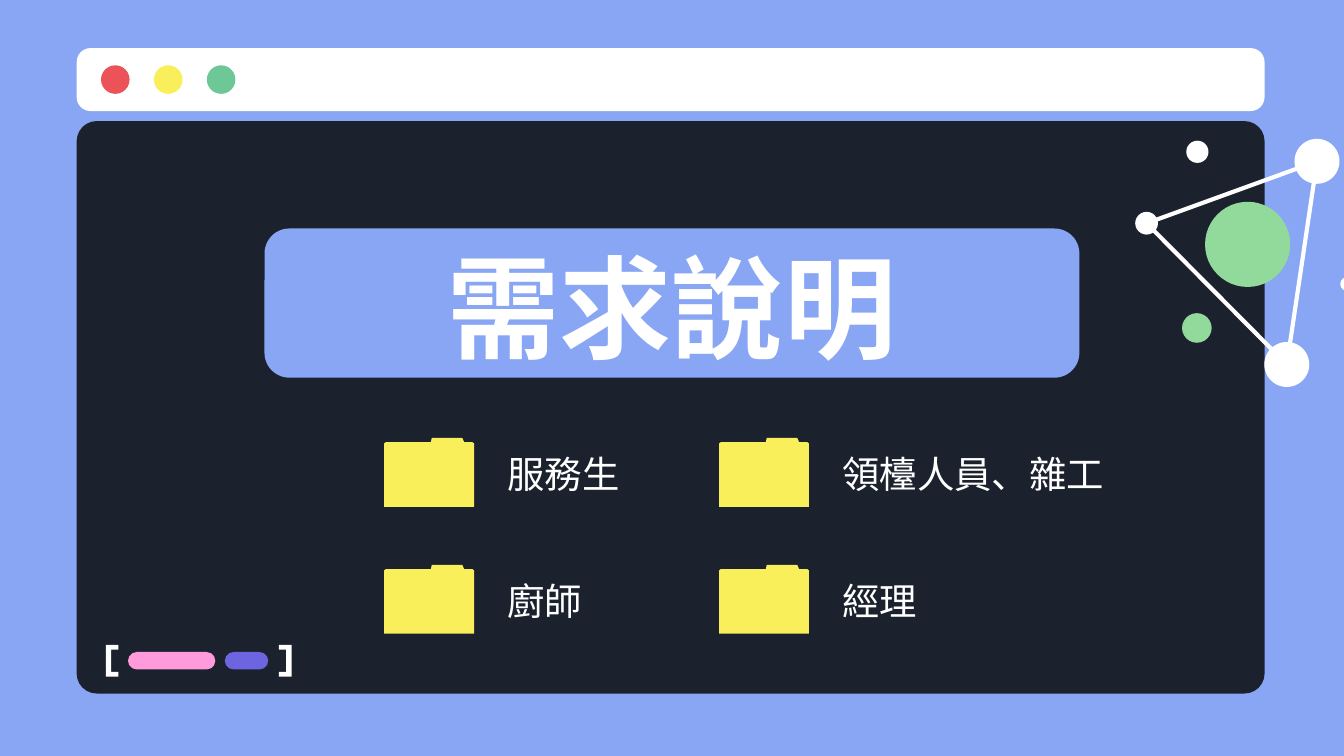
from lxml.etree import SubElement
from pptx import Presentation
from pptx.dml.color import RGBColor
from pptx.enum.shapes import MSO_CONNECTOR, MSO_SHAPE
from pptx.enum.text import MSO_ANCHOR, PP_ALIGN
from pptx.oxml.ns import qn
from pptx.util import Cm, Pt

COLORS = {
    "sky": "88A6F3",
    "night": "1B222D",
    "white": "FFFFFF",
    "red": "EB5358",
    "yellow": "F8EF5B",
    "green": "6DC797",
    "mint": "92D99C",
    "pink": "FF9BDA",
    "violet": "6D65E0",
}
FONT = "Noto Sans CJK SC"
FOLDER_OUTLINE = [
    (0, 0.08), (0.02, 0.06), (0.52, 0.06), (0.53, 0), (0.87, 0),
    (0.89, 0.06), (0.98, 0.06), (1, 0.08), (1, 1), (0, 1),
]
BRACKET_OUTLINE = [
    (1, 0.15), (0.42, 0.15), (0.42, 0.85), (1, 0.85),
    (1, 1), (0, 1), (0, 0), (1, 0),
]


def color(name):
    """Return the named colour."""
    return RGBColor.from_string(COLORS[name])


def paint(shape, fill):
    """Give a shape a flat fill without line or shadow."""
    shape.fill.solid()
    shape.fill.fore_color.rgb = color(fill)
    shape.line.fill.background()
    shape.shadow.inherit = False


def add_preset(slide, kind, left, top, width, height, fill, rounding=None):
    """Add a flat preset shape, with an optional corner radius."""
    shape = slide.shapes.add_shape(kind, Cm(left), Cm(top), Cm(width), Cm(height))
    if rounding is not None:
        shape.adjustments[0] = rounding
    paint(shape, fill)


def add_dot(slide, x, y, diameter, fill):
    """Add a circle around a centre point."""
    corner = diameter / 2
    add_preset(slide, MSO_SHAPE.OVAL, x - corner, y - corner, diameter, diameter, fill)


def add_outline(slide, outline, left, top, width, height, fill):
    """Add a closed polygon given as fractions of its box."""
    points = [(Cm(left + x * width), Cm(top + y * height)) for x, y in outline]
    builder = slide.shapes.build_freeform(*points[0], scale=1.0)
    builder.add_line_segments(points[1:], close=True)
    paint(builder.convert_to_shape(), fill)


def add_text(slide, text, left, top, width, height, size, bold=False, wrap=False):
    """Add a white text box and return it."""
    box = slide.shapes.add_textbox(Cm(left), Cm(top), Cm(width), Cm(height))
    box.text_frame.text = text
    box.text_frame.word_wrap = wrap
    font = box.text_frame.paragraphs[0].runs[0].font
    font.size, font.bold, font.name = Pt(size), bold, FONT
    font.color.rgb = color("white")
    properties = box.text_frame.paragraphs[0].runs[0]._r.get_or_add_rPr()
    SubElement(properties, qn("a:ea")).set("typeface", FONT)
    return box


def add_window(slide, left, top, width, height):
    """Draw the browser window with its title bar and three buttons."""
    bar_height, gap = 1.19, 0.19
    panel_top = top + bar_height + gap
    add_preset(slide, MSO_SHAPE.ROUNDED_RECTANGLE, left, panel_top, width,
               height - bar_height - gap, "night", 0.035)
    add_preset(slide, MSO_SHAPE.ROUNDED_RECTANGLE, left, top, width,
               bar_height, "white", 0.22)
    for index, fill in enumerate(["red", "yellow", "green"]):
        add_dot(slide, left + 0.73 + index, top + bar_height / 2, 0.54, fill)


def add_network(slide, left, top):
    """Draw the linked nodes and loose dots from their top left corner."""
    corners = [(0.27, 1.6, 0.43), (3.49, 0.43, 0.85), (2.92, 4.27, 0.85)]
    loose_dots = [(1.23, 0.25, 0.42), (4.06, 2.75, 0.26)]
    add_dot(slide, left + 1.22, top + 3.58, 0.56, "mint")
    for start, end in zip(corners, corners[1:] + corners[:1]):
        line = slide.shapes.add_connector(
            MSO_CONNECTOR.STRAIGHT, Cm(left + start[0]), Cm(top + start[1]),
            Cm(left + end[0]), Cm(top + end[1]))
        line.line.color.rgb = color("white")
        line.line.width = Pt(2.25)
        SubElement(line._element.spPr, qn("a:effectLst"))
    for x, y, diameter in corners + loose_dots:
        add_dot(slide, left + x, top + y, diameter, "white")
    add_dot(slide, left + 2.18, top + 2, 1.61, "mint")


def add_code_tag(slide, left, top, width, height):
    """Draw two pills between square brackets."""
    bracket_width, pill_height = 0.24, 0.33
    mirrored = [(1 - x, y) for x, y in BRACKET_OUTLINE]
    add_outline(slide, BRACKET_OUTLINE, left, top, bracket_width, height, "white")
    for offset, pill_width, fill in [(0.42, 1.65, "pink"), (2.25, 0.82, "violet")]:
        add_preset(slide, MSO_SHAPE.ROUNDED_RECTANGLE, left + offset,
                   top + (height - pill_height) / 2, pill_width, pill_height, fill, 0.5)
    add_outline(slide, mirrored, left + width - bracket_width, top,
                bracket_width, height, "white")


def add_title(slide, text, left, top, width, height):
    """Draw the title on its rounded band."""
    add_preset(slide, MSO_SHAPE.ROUNDED_RECTANGLE, left, top, width, height, "sky", 0.167)
    box = add_text(slide, text, left + 1.92, top + 0.18, width - 3.84,
                   height - 0.26, 60, bold=True, wrap=True)
    box.text_frame.vertical_anchor = MSO_ANCHOR.MIDDLE
    box.text_frame.paragraphs[0].alignment = PP_ALIGN.CENTER


def add_roles(slide, rows, left, top, column_step, row_step):
    """Draw a grid of folders, each with a role beside it."""
    for row, roles in enumerate(rows):
        for column, role in enumerate(roles):
            x, y = left + column * column_step, top + row * row_step
            add_outline(slide, FOLDER_OUTLINE, x, y, 1.7, 1.3, "yellow")
            add_text(slide, role, x + 2.08, y + 0.12, 0.51 + 0.71 * len(role), 1.12, 20)


def main():
    """Build and save the slide."""
    presentation = Presentation()
    presentation.slide_width, presentation.slide_height = Cm(25.4), Cm(14.29)
    slide = presentation.slides.add_slide(presentation.slide_layouts[6])
    slide.background.fill.solid()
    slide.background.fill.fore_color.rgb = color("sky")
    add_window(slide, 1.45, 0.91, 22.45, 12.2)
    add_network(slide, 21.4, 2.62)
    add_code_tag(slide, 2, 12.19, 3.51, 0.6)
    add_title(slide, "需求說明", 5, 4.32, 15.4, 2.82)
    add_roles(slide, [["服務生", "領檯人員、雜工"], ["廚師", "經理"]], 7.26, 8.28, 6.33, 2.4)
    presentation.save("out.pptx")


if __name__ == "__main__":
    main()
